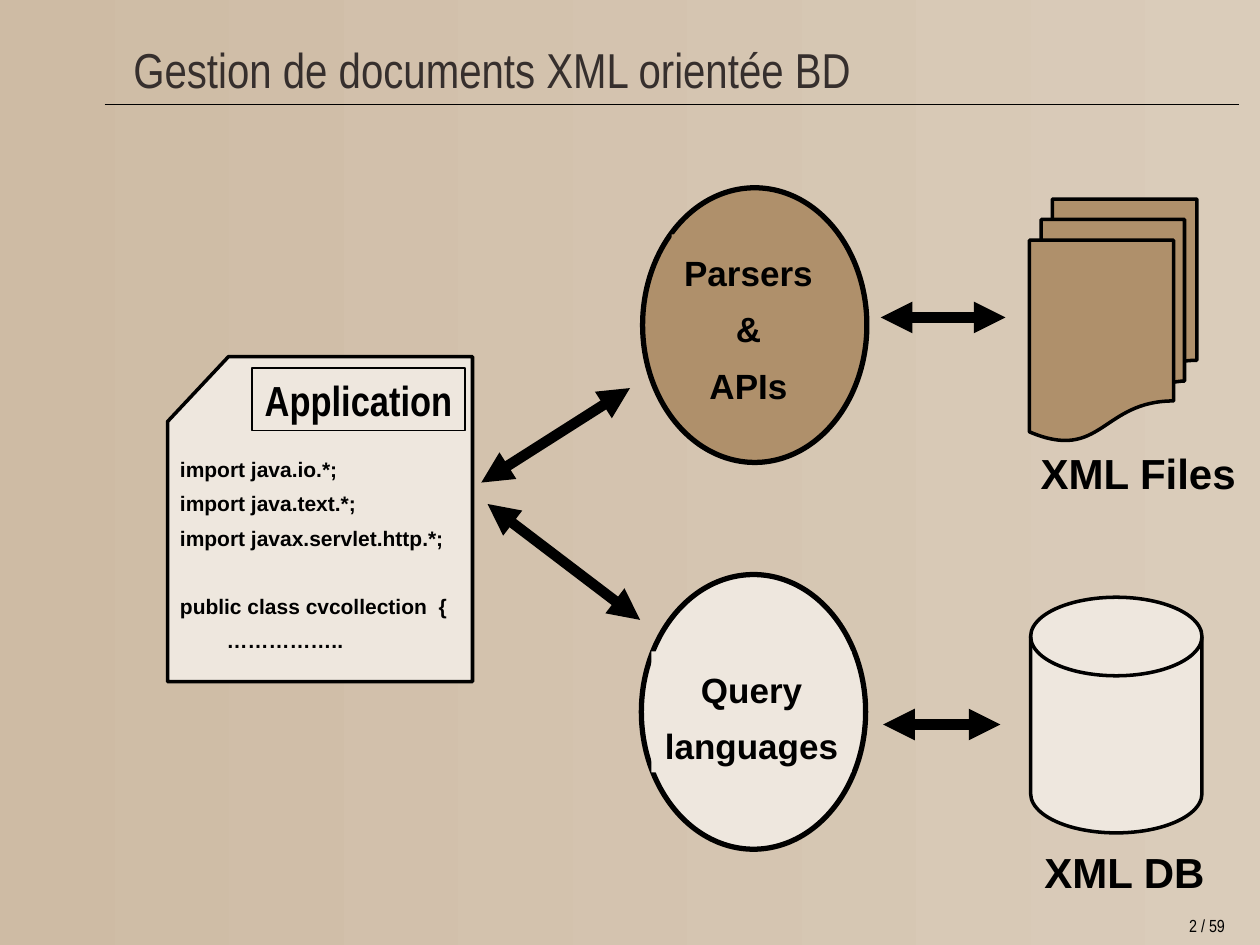
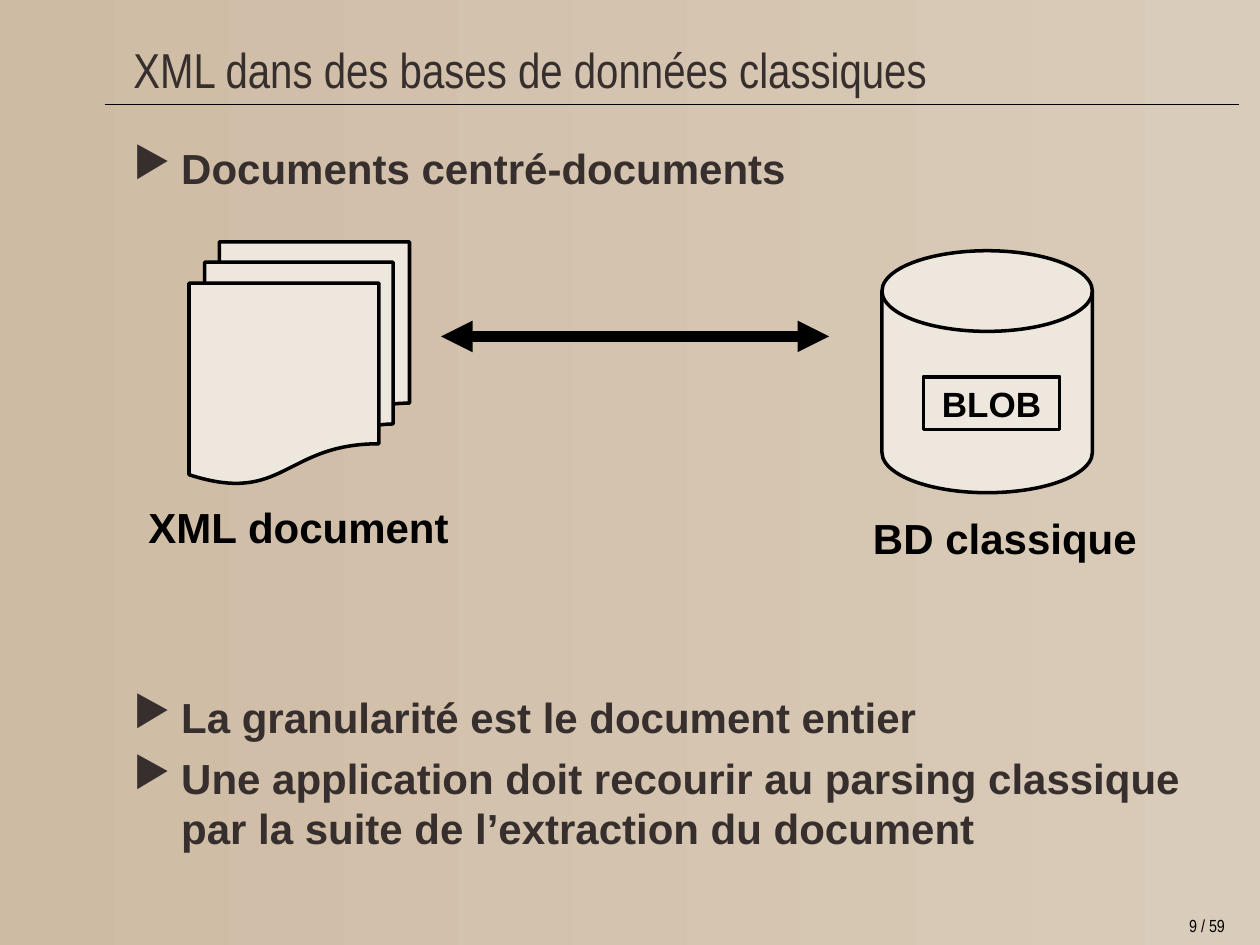
from lxml import etree
from pptx import Presentation
from pptx.dml.color import RGBColor
from pptx.enum.shapes import MSO_CONNECTOR, MSO_SHAPE
from pptx.enum.text import MSO_ANCHOR, PP_ALIGN
from pptx.oxml.ns import qn
from pptx.util import Inches, Pt

BLACK = RGBColor(0x00, 0x00, 0x00)
INK = RGBColor(0x36, 0x2F, 0x2D)
CREAM = RGBColor(0xEE, 0xE7, 0xDE)
BROWN = RGBColor(0xAF, 0x90, 0x6B)
SAND_DARK = RGBColor(0xCE, 0xBB, 0xA4)
SAND_LIGHT = RGBColor(0xDA, 0xCC, 0xBA)

SANS, NARROW = "Arial", "Arial Narrow"
LEFT, CENTER = PP_ALIGN.LEFT, PP_ALIGN.CENTER
TOP, MIDDLE = MSO_ANCHOR.TOP, MSO_ANCHOR.MIDDLE
RECT, OVAL = MSO_SHAPE.RECTANGLE, MSO_SHAPE.OVAL
CARD, PAGES = MSO_SHAPE.FLOWCHART_CARD, MSO_SHAPE.FLOWCHART_MULTIDOCUMENT
DRUM = MSO_SHAPE.FLOWCHART_DIRECT_ACCESS_STORAGE
STRAIGHT = MSO_CONNECTOR.STRAIGHT

THIN, OUTLINE, THICK, ARROW = 0.75, 2, 3, 6
TOTAL = 59


def inside(box, dx, dy, w, h):
    """Return a box of the given size, offset from the corner of another."""
    return box[0] + dx, box[1] + dy, w, h


def write(sp, lines, size, font=SANS, color=BLACK, bold=True, align=LEFT,
          anchor=TOP, wrap=False, spacing=None, before=0):
    """Fill a shape with paragraphs of one style."""
    tf = sp.text_frame
    tf.text = "\n".join(lines)
    tf.word_wrap = wrap
    tf.vertical_anchor = anchor
    for p in tf.paragraphs:
        p.alignment = align
        p.line_spacing = spacing
        p.space_before = Pt(before)
        for r in p.runs:
            r.font.name, r.font.size, r.font.bold = font, Pt(size), bold
            r.font.color.rgb = color
    return tf


def text(shapes, box, lines, size, **style):
    """Add a text box."""
    return write(shapes.add_textbox(*map(Inches, box)), lines, size, **style)


def shape(shapes, kind, box, fill, width=0):
    """Add a filled preset shape with a black outline, or none at width 0."""
    sp = shapes.add_shape(kind, *map(Inches, box))
    sp.shadow.inherit = False
    sp.fill.solid()
    sp.fill.fore_color.rgb = fill
    if width:
        sp.line.color.rgb = BLACK
        sp.line.width = Pt(width)
    else:
        sp.line.fill.background()
    return sp


def line(shapes, start, end, width, heads=False):
    """Add a straight black line, with a triangle at both ends if asked."""
    c = shapes.add_connector(STRAIGHT, *map(Inches, start + end))
    c.line.color.rgb = BLACK
    c.line.width = Pt(width)
    if heads:
        for tag in ("a:headEnd", "a:tailEnd"):
            etree.SubElement(c.line._ln, qn(tag), type="triangle")
    etree.SubElement(c._element.spPr, qn("a:effectLst"))


def new_slide(prs, title, number):
    """Add a slide with the shared background, title, rule and page number."""
    s = prs.slides.add_slide(prs.slide_layouts[6])
    fill = s.background.fill
    fill.gradient()
    fill.gradient_angle = 0
    for stop, color in zip(fill.gradient_stops, (SAND_DARK, SAND_LIGHT)):
        stop.color.rgb = color
    line(s.shapes, (0.83, 0.83), (9.83, 0.83), THIN)
    text(s.shapes, (9.11, 7.21, 0.94, 0.27), [f"{number} / {TOTAL}"], 10,
         font=NARROW, bold=False, align=CENTER)
    text(s.shapes, (0.96, 0.17, 8.88, 0.75), [title], 28, font=NARROW,
         color=INK, bold=False, anchor=MIDDLE, wrap=True)
    return s.shapes


def caption(shapes, box, words):
    """Add the bold name of a store."""
    text(shapes, box, [words], 24, spacing=1.25, before=3)


def drum(shapes, box):
    """Add an upright database drum that fills the box."""
    x, y, w, h = box
    turned = inside(box, (w - h) / 2, (h - w) / 2, h, w)
    shape(shapes, DRUM, turned, CREAM, OUTLINE).rotation = 270


def application(shapes, box):
    """Add the grouped card with the application's code."""
    group = shapes.add_group_shape().shapes
    code = ["import java.io.*;", "import java.text.*;",
            "import javax.servlet.http.*;", "public class cvcollection  {",
            "…………….."]
    tf = write(shape(group, CARD, box, CREAM, OUTLINE), code, 12,
               anchor=MIDDLE, wrap=True, spacing=1.25, before=1.5)
    tf.paragraphs[3].space_before = Pt(21)
    tf.paragraphs[4]._p.get_or_add_pPr().set("marL", str(Inches(0.37)))
    name = shape(group, RECT, inside(box, 0.67, 0.09, 1.69, 0.5), CREAM, THIN)
    write(name, ["Application"], 24, font=NARROW, align=CENTER)


def access_path(shapes, box, fill, label_offset, lines):
    """Add an ellipse with its label."""
    shape(shapes, OVAL, box, fill, THICK)
    label = shape(shapes, RECT, inside(box, *label_offset), fill)
    write(label, lines, 20, align=CENTER, spacing=1.25, before=2.5)


def bullets(shapes, box, items, gap):
    """Add bulleted paragraphs, with a gap for the diagram after the first."""
    tf = text(shapes, box, items, 24, color=INK, wrap=True, before=6)
    tf.paragraphs[1].space_before = Pt(gap)
    for p in tf.paragraphs:
        pPr = p._p.get_or_add_pPr()
        pPr.set("marL", str(Inches(0.38)))
        pPr.set("indent", str(-Inches(0.38)))
        color = etree.SubElement(pPr, qn("a:buClr"))
        etree.SubElement(color, qn("a:srgbClr"), val=str(INK))
        etree.SubElement(pPr, qn("a:buChar"), char="▶")


def management_slide(prs):
    """Show an application reaching XML through parsers or queries."""
    shapes = new_slide(prs, "Gestion de documents XML orientée BD", 2)
    application(shapes, (1.33, 2.83, 2.42, 2.58))
    access_path(shapes, (5.1, 1.49, 1.78, 2.18), BROWN,
                (0.23, 0.37, 1.22, 1.41), ["Parsers", "&", "APIs"])
    access_path(shapes, (5.09, 4.56, 1.78, 2.18), CREAM,
                (0.08, 0.61, 1.59, 0.96), ["Query", "languages"])
    shape(shapes, PAGES, (8.17, 1.58, 1.33, 1.92), BROWN, OUTLINE)
    caption(shapes, (8.16, 3.4, 1.75, 0.6), "XML Files")
    drum(shapes, (8.18, 4.74, 1.36, 1.87))
    caption(shapes, (8.19, 6.57, 1.48, 0.6), "XML DB")
    for start, end in (((3.82, 3.83), (5, 3.08)), ((6.99, 2.52), (7.98, 2.52)),
                       ((3.87, 4), (5.08, 4.92)), ((7.01, 5.75), (7.94, 5.75))):
        line(shapes, start, end, ARROW, heads=True)


def blob_slide(prs):
    """Show whole documents stored as BLOBs in a classic database."""
    shapes = new_slide(prs, "XML dans des bases de données classiques", 9)
    bullets(shapes, (0.96, 1.08, 8.88, 6), [
        "Documents centré-documents",
        "La granularité est le document entier",
        "Une application doit recourir au parsing classique par la suite "
        "de l’extraction du document"], 285)
    shape(shapes, PAGES, (1.5, 1.92, 1.75, 1.92), CREAM, OUTLINE)
    caption(shapes, (1.08, 3.83, 2.59, 0.6), "XML document")
    caption(shapes, (6.83, 3.92, 2.29, 0.6), "BD classique")
    store = (7, 1.99, 1.67, 1.92)
    drum(shapes, store)
    line(shapes, (3.5, 2.67), (6.58, 2.67), ARROW, heads=True)
    blob = shape(shapes, RECT, inside(store, 0.33, 1, 1.08, 0.42), CREAM, OUTLINE)
    write(blob, ["BLOB"], 20, align=CENTER, anchor=MIDDLE)


def main():
    """Build and save the presentation."""
    prs = Presentation()
    prs.slide_width, prs.slide_height = Inches(10), Inches(7.5)
    management_slide(prs)
    blob_slide(prs)
    prs.save("out.pptx")


main()
